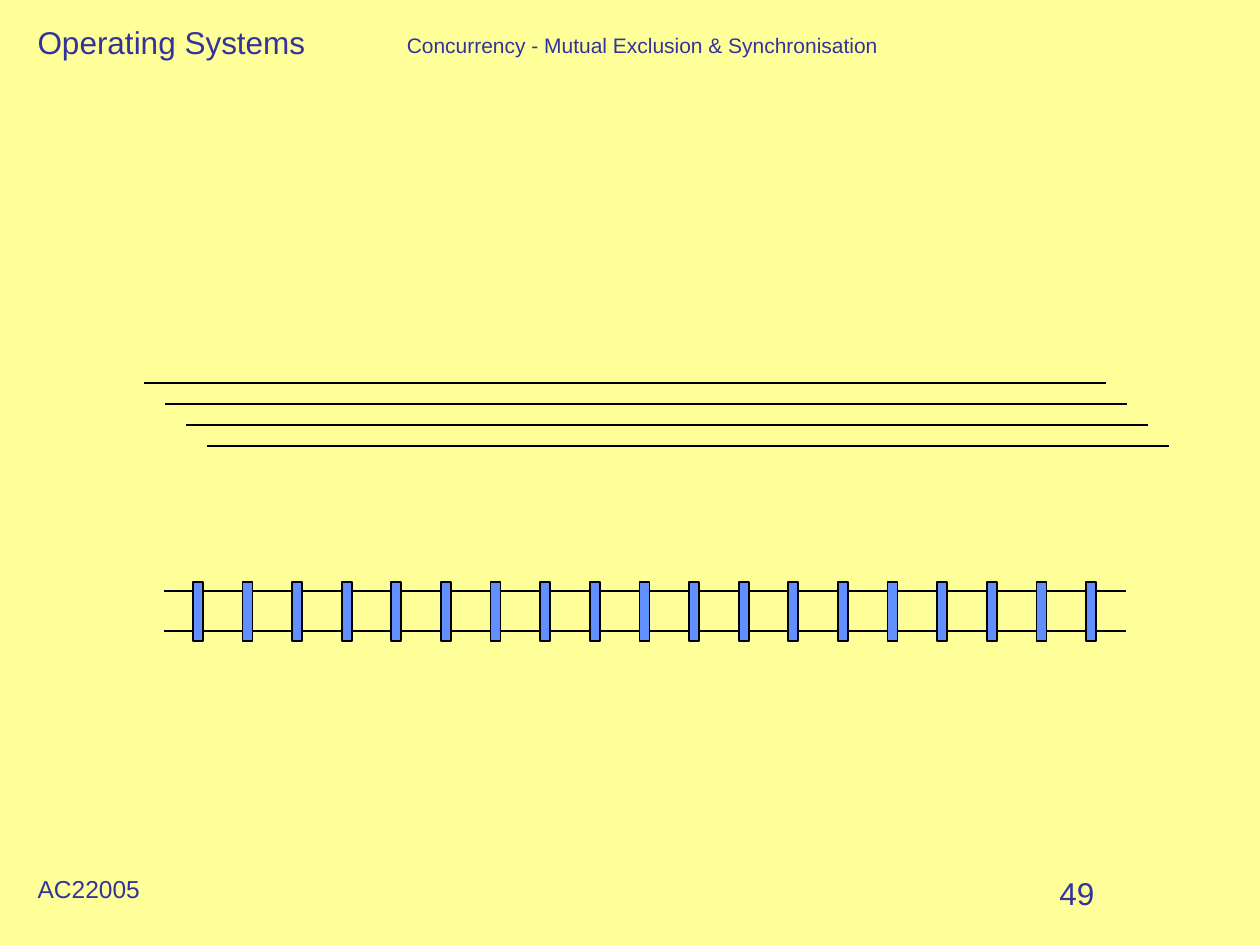
from lxml.etree import SubElement
from pptx import Presentation
from pptx.dml.color import RGBColor
from pptx.enum.shapes import MSO_CONNECTOR, MSO_SHAPE
from pptx.enum.text import MSO_AUTO_SIZE
from pptx.oxml.ns import qn
from pptx.util import Inches, Pt

LABELS = [
    ("49", 8.31, 6.89, 1.34, 0.4, 18, False),
    ("Concurrency - Mutual Exclusion & Synchronisation", 3.13, 0.21, 3.98, 0.3, 12, False),
    ("Operating Systems", 0.2, 0.13, 2.36, 0.4, 18, True),
    ("AC22005", 0.2, 6.89, 1.1, 0.34, 14, True),
]
LINE_LENGTH = 7.64
STAGGERED_LINES = [(1.14 + i / 6, 3.04 + i / 6) for i in range(4)]
RAILS = [(1.3, 4.69), (1.3, 5.01)]
SLEEPER_COUNT = 19
FIRST_SLEEPER, LAST_SLEEPER = 1.53, 8.62
SLEEPER_TOP, SLEEPER_WIDTH, SLEEPER_HEIGHT = 4.62, 0.08, 0.47


def paint(target, color):
    target.solid()
    target.fore_color.rgb = RGBColor.from_string(color)


def outline(line):
    paint(line.fill, "000000")
    line.width = Pt(1)


def add_label(s, text, left, top, width, height, size, wrap):
    sp = s.shapes.add_textbox(Inches(left), Inches(top), Inches(width), Inches(height))
    tf = sp.text_frame
    tf.word_wrap = wrap
    tf.auto_size = MSO_AUTO_SIZE.SHAPE_TO_FIT_TEXT
    r = tf.paragraphs[0].add_run()
    r.text = text
    r.font.name = "Arial"
    r.font.size = Pt(size)
    paint(r.font.fill, "333399")


def add_line(s, left, top):
    cx = s.shapes.add_connector(
        MSO_CONNECTOR.STRAIGHT,
        Inches(left), Inches(top), Inches(left + LINE_LENGTH), Inches(top),
    )
    outline(cx.line)
    SubElement(cx._element.spPr, qn("a:effectLst"))


def add_sleeper(s, left):
    sp = s.shapes.add_shape(
        MSO_SHAPE.RECTANGLE,
        Inches(left), Inches(SLEEPER_TOP), Inches(SLEEPER_WIDTH), Inches(SLEEPER_HEIGHT),
    )
    sp.shadow.inherit = False
    paint(sp.fill, "618FFD")
    outline(sp.line)


def main():
    prs = Presentation()
    prs.slide_width, prs.slide_height = Inches(10), Inches(7.5)
    s = prs.slides.add_slide(prs.slide_layouts[6])
    paint(s.background.fill, "FFFF99")
    for label in LABELS:
        add_label(s, *label)
    for left, top in STAGGERED_LINES + RAILS:
        add_line(s, left, top)
    pitch = (LAST_SLEEPER - FIRST_SLEEPER) / (SLEEPER_COUNT - 1)
    for i in range(SLEEPER_COUNT):
        add_sleeper(s, FIRST_SLEEPER + i * pitch)
    prs.save("out.pptx")


if __name__ == "__main__":
    main()
